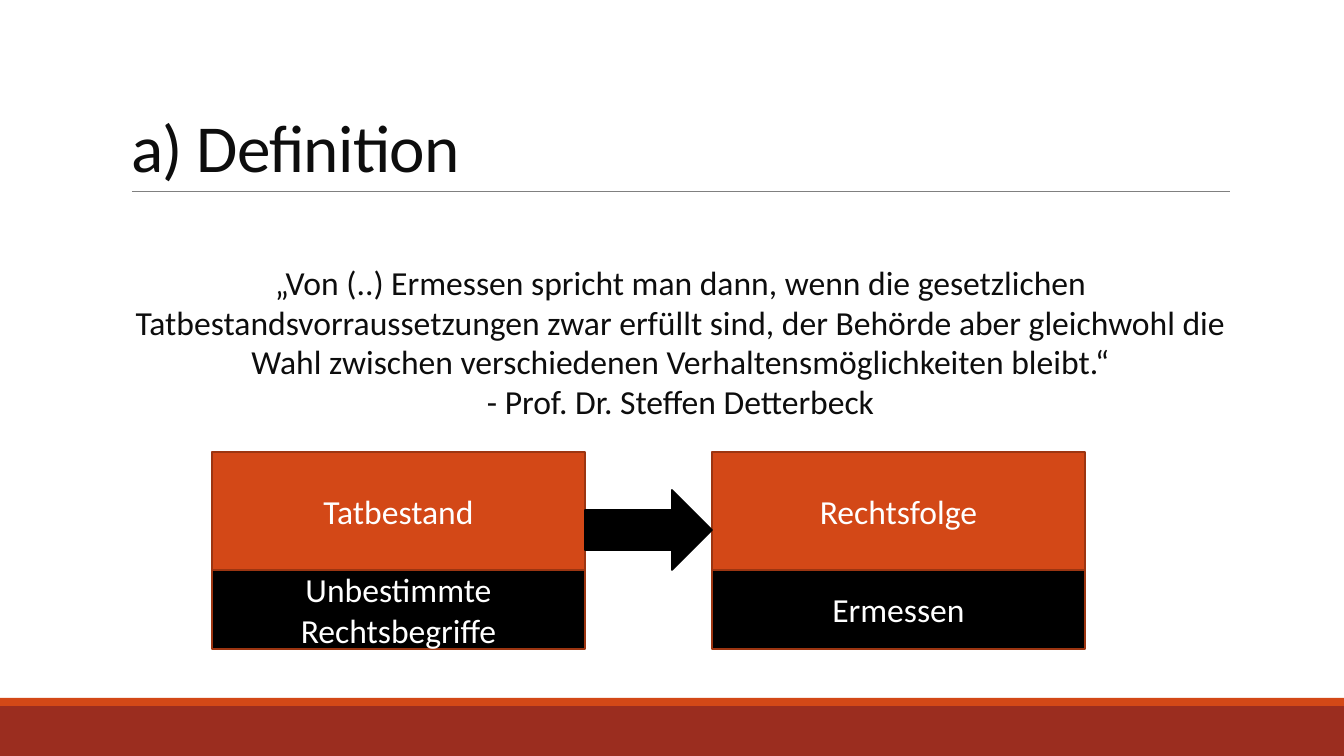
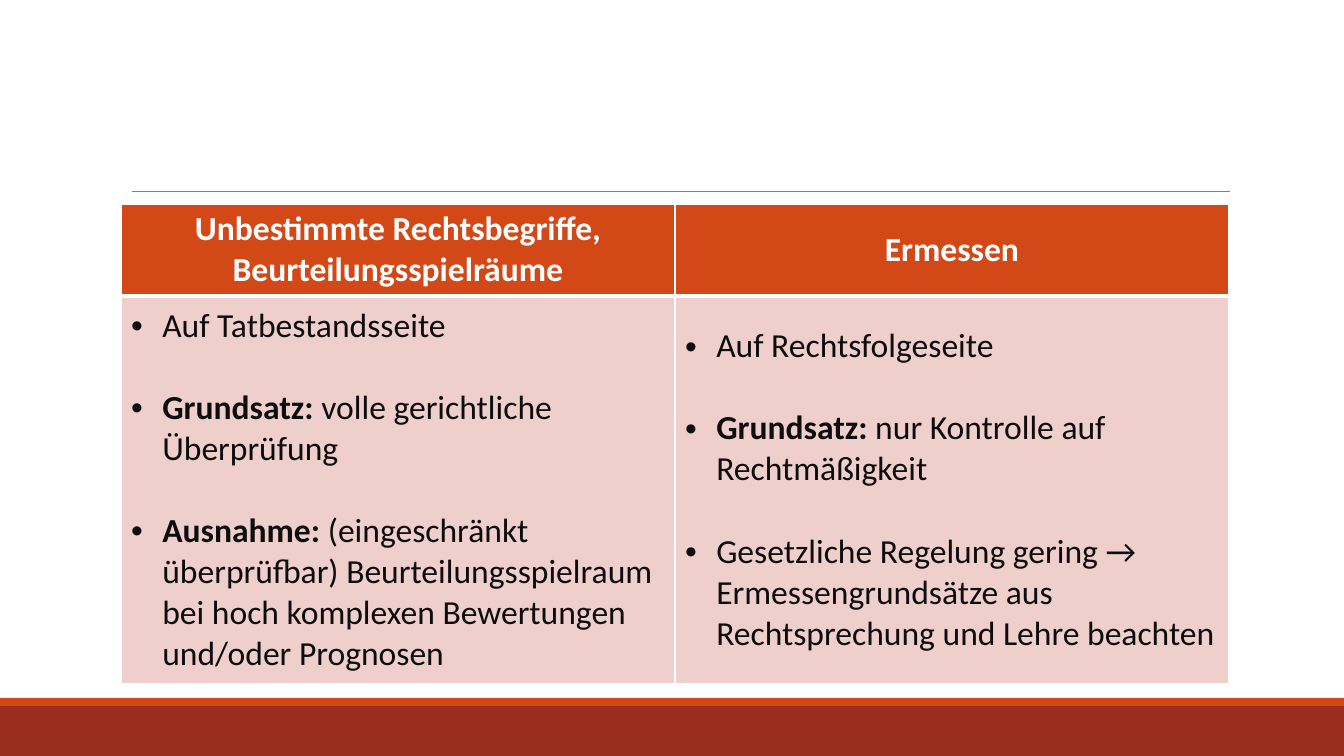
from pptx import Presentation
from pptx import util as u
from pptx.dml.color import RGBColor
from pptx.enum import shapes, text
from pptx.oxml.ns import qn
from lxml import etree

PX = 914400 / 100.8
FONT = "Calibri"
BODY_SIZE = 24
LINE_GAP = 29.3  # one line of body text, in points
COLORS = {
    "band": "9B2D1F", "accent": "D34817", "edge": "9C3511", "rule": "808080",
    "ink": "0D0D0D", "black": "000000", "white": "FFFFFF", "cell": "EFCFCC",
}


def px(n):
    return u.Emu(round(n * PX))


def rgb(name):
    return RGBColor.from_string(COLORS[name])


def add_run(p, words, color="ink", size=BODY_SIZE, bold=False):
    r = p.add_run()
    r.text = words
    f = r.font
    f.name, f.size, f.bold = FONT, u.Pt(size), bold
    f.color.rgb = rgb(color)
    return r


def add_block(s, kind, box, fill, line=None, label=None):
    sp = s.shapes.add_shape(kind, *map(px, box))
    sp.shadow.inherit = False
    sp.fill.solid()
    sp.fill.fore_color.rgb = rgb(fill)
    if line:
        sp.line.color.rgb = rgb(line)
        sp.line.width = u.Pt(1.25)
    else:
        sp.line.fill.background()
    if label:
        tf = sp.text_frame
        tf.word_wrap = True
        tf.vertical_anchor = text.MSO_ANCHOR.MIDDLE
        p = tf.paragraphs[0]
        p.alignment = text.PP_ALIGN.CENTER
        add_run(p, label, "white")


def add_frame(s):
    """Footer bands and the rule below the title area."""
    rect = shapes.MSO_SHAPE.RECTANGLE
    add_block(s, rect, (0, 706, 1344, 50), "band")
    add_block(s, rect, (0, 698, 1344, 8), "accent")
    rule = s.shapes.add_connector(
        shapes.MSO_CONNECTOR.STRAIGHT, px(132), px(191), px(1230), px(191))
    rule.line.color.rgb = rgb("rule")
    rule.line.width = u.Pt(0.5)
    etree.SubElement(rule._element.spPr, qn("a:effectLst"))


def set_title(s, words):
    sp = s.shapes.title
    sp.left, sp.top, sp.width, sp.height = map(px, (121, 31, 1109, 160))
    tf = sp.text_frame
    tf.word_wrap = True
    tf.auto_size = text.MSO_AUTO_SIZE.NONE
    tf.vertical_anchor = text.MSO_ANCHOR.BOTTOM
    p = tf.paragraphs[0]
    p.alignment = text.PP_ALIGN.LEFT
    p.line_spacing = 0.85
    r = add_run(p, words, size=48)
    r._r.get_or_add_rPr().set("spc", "-50")


def add_quote(s, box, lines):
    tf = s.shapes.add_textbox(*map(px, box)).text_frame
    tf.word_wrap = True
    tf.margin_left = px(10)
    tf.margin_right = tf.margin_top = tf.margin_bottom = 0
    for i, words in enumerate(lines):
        p = tf.add_paragraph() if i else tf.paragraphs[0]
        p.alignment = text.PP_ALIGN.CENTER
        p.line_spacing = 0.98
        add_run(p, words)


def style_cell(cell, fill, top=1, bottom=1):
    """White borders, with widths in points, and a solid fill."""
    tcPr = cell._tc.get_or_add_tcPr()
    for side, width in zip("LRTB", (1, 1, top, bottom)):
        ln = etree.SubElement(tcPr, qn("a:ln" + side), w=str(u.Pt(width)))
        solid = etree.SubElement(ln, qn("a:solidFill"))
        etree.SubElement(solid, qn("a:srgbClr"), val=COLORS["white"])
    cell.fill.solid()
    cell.fill.fore_color.rgb = rgb(fill)
    cell.vertical_anchor = text.MSO_ANCHOR.MIDDLE


def add_bullets(tf, items):
    """Each item is a pair: bold lead-in and plain text."""
    for i, (lead, words) in enumerate(items):
        p = tf.add_paragraph() if i else tf.paragraphs[0]
        p.alignment = text.PP_ALIGN.LEFT
        if i:
            p.space_before = u.Pt(LINE_GAP)
        pPr = p._p.get_or_add_pPr()
        indent = u.Inches(0.31)
        pPr.set("marL", str(indent))
        pPr.set("indent", str(-indent))
        etree.SubElement(pPr, qn("a:buFont"), typeface="Arial")
        etree.SubElement(pPr, qn("a:buChar"), char="•")
        if lead:
            add_run(p, lead + " ", bold=True)
        add_run(p, words)


def add_comparison(s, box, row_heights, columns):
    tbl = s.shapes.add_table(2, len(columns), *map(px, box)).table
    for row, height in zip(tbl.rows, row_heights):
        row.height = px(height)
    for c, (heading, items) in enumerate(columns):
        tbl.columns[c].width = px(box[2] / len(columns))
        head, body = tbl.cell(0, c), tbl.cell(1, c)
        style_cell(head, "accent", bottom=3)
        p = head.text_frame.paragraphs[0]
        p.alignment = text.PP_ALIGN.CENTER
        add_run(p, heading, "white", bold=True)
        style_cell(body, "cell", top=3)
        add_bullets(body.text_frame, items)


def definition_slide(prs):
    s = prs.slides.add_slide(prs.slide_layouts[5])
    add_frame(s)
    set_title(s, "a) Definition")
    add_quote(s, (121, 264, 1109, 162), [
        "„Von (..) Ermessen spricht man dann, wenn die gesetzlichen "
        "Tatbestandsvorraussetzungen zwar erfüllt sind, der Behörde aber "
        "gleichwohl die Wahl zwischen verschiedenen "
        "Verhaltensmöglichkeiten bleibt.“",
        "- Prof. Dr. Steffen Detterbeck",
    ])
    # Two stacked pairs joined by an arrow
    rect = shapes.MSO_SHAPE.RECTANGLE
    for x, upper, lower in ((212, "Tatbestand", "Unbestimmte Rechtsbegriffe"),
                            (712, "Rechtsfolge", "Ermessen")):
        add_block(s, rect, (x, 452, 373, 118), "accent", "edge", upper)
        add_block(s, rect, (x, 570, 373, 79), "black", "edge", lower)
    add_block(s, shapes.MSO_SHAPE.RIGHT_ARROW, (585, 490, 127, 80),
              "black", "black")


def comparison_slide(prs):
    s = prs.slides.add_slide(prs.slide_layouts[6])
    add_frame(s)
    add_comparison(s, (121, 204, 1108, 480), (92, 388), [
        ("Unbestimmte Rechtsbegriffe, Beurteilungsspielräume", [
            ("", "Auf Tatbestandsseite"),
            ("Grundsatz:", "volle gerichtliche Überprüfung"),
            ("Ausnahme:", "(eingeschränkt überprüfbar) "
             "Beurteilungsspielraum bei hoch komplexen Bewertungen "
             "und/oder Prognosen"),
        ]),
        ("Ermessen", [
            ("", "Auf Rechtsfolgeseite"),
            ("Grundsatz:", "nur Kontrolle auf Rechtmäßigkeit"),
            ("", "Gesetzliche Regelung gering → Ermessengrundsätze aus "
             "Rechtsprechung und Lehre beachten"),
        ]),
    ])


def main():
    prs = Presentation()
    prs.slide_width, prs.slide_height = px(1344), px(756)
    definition_slide(prs)
    comparison_slide(prs)
    prs.save("out.pptx")


main()
